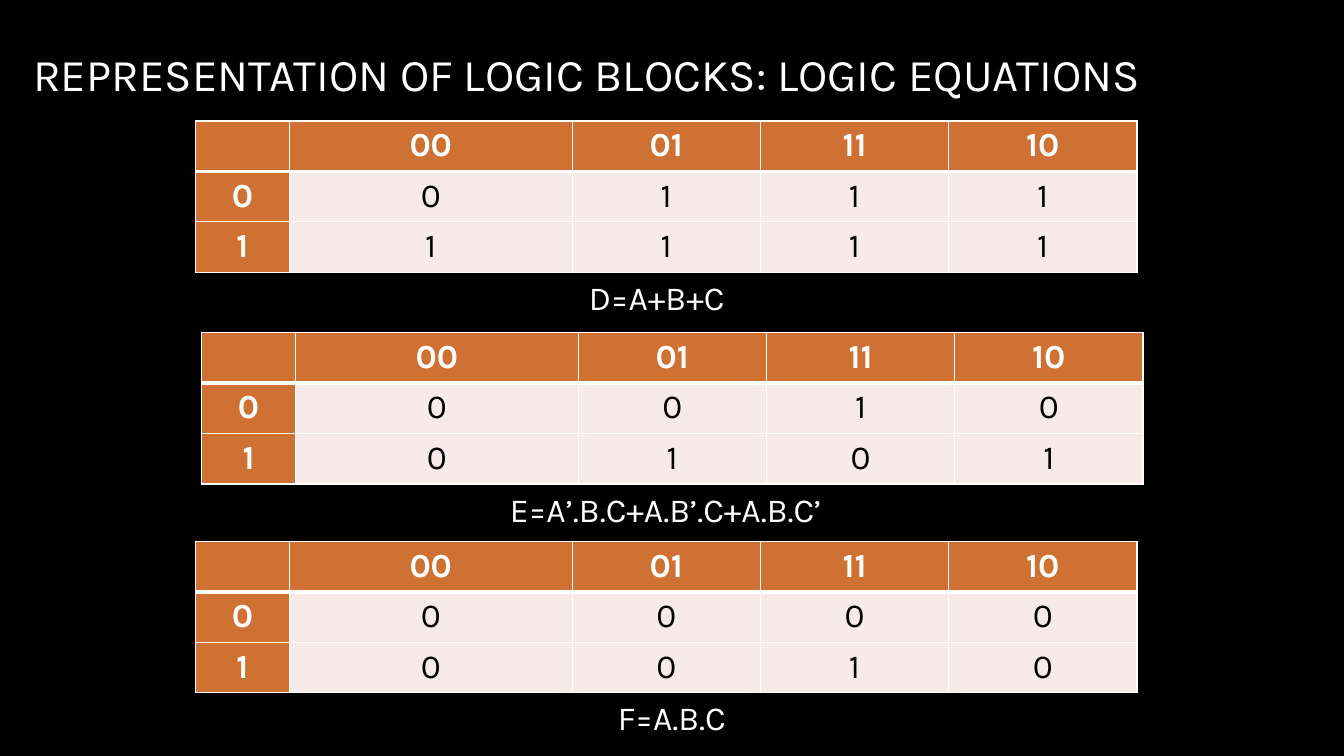
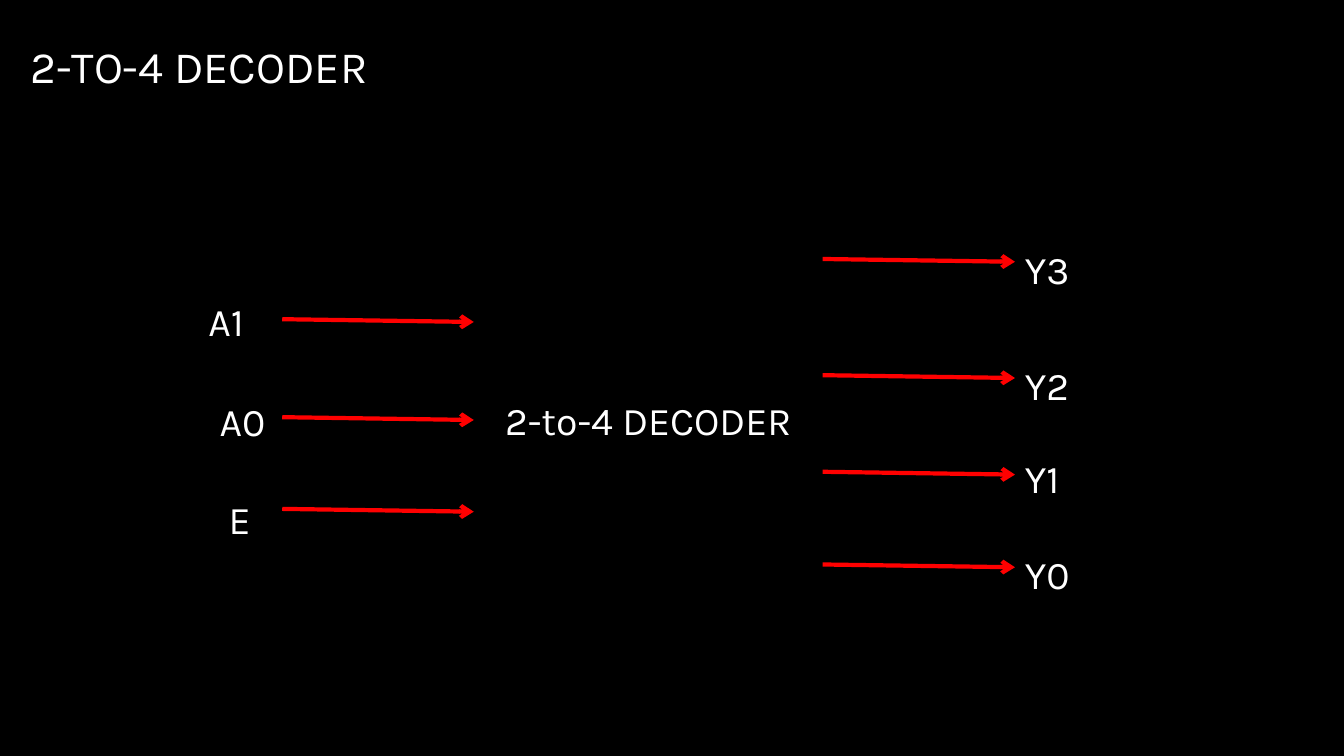
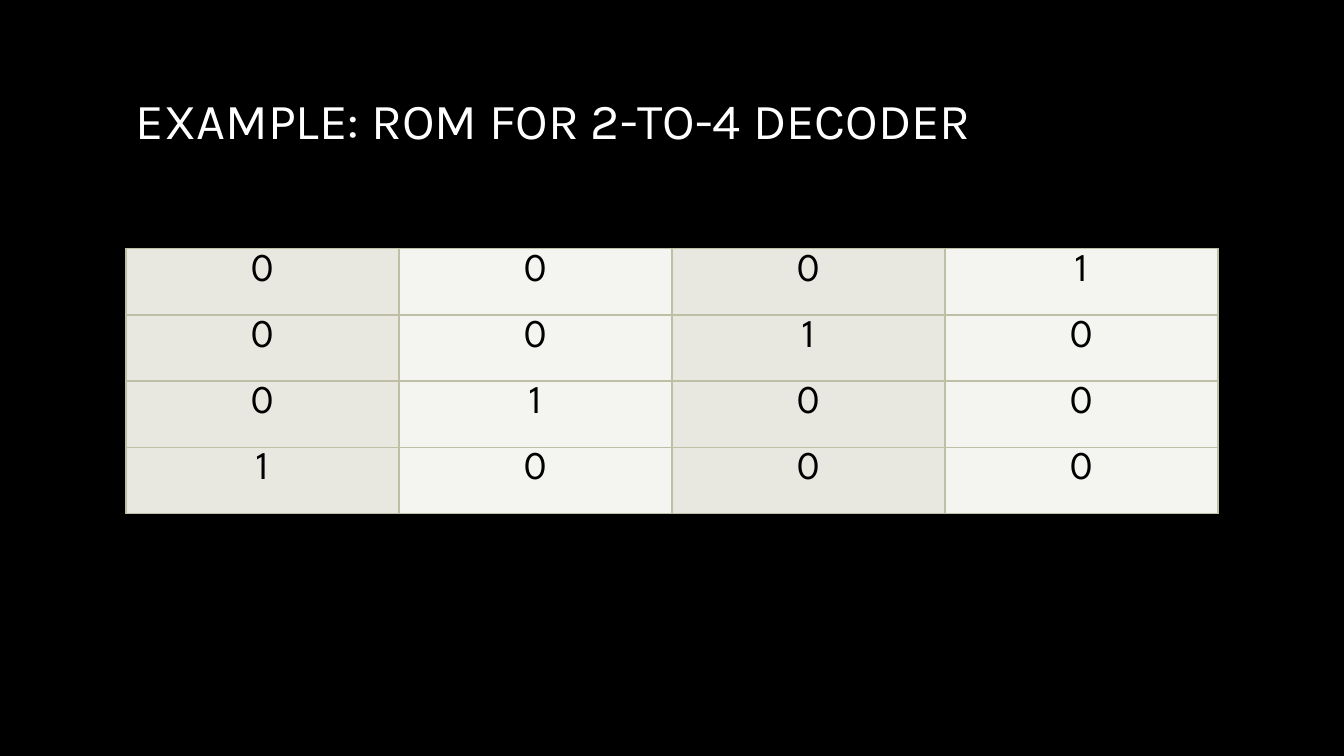
from lxml import etree
from pptx import Presentation
from pptx.dml.color import RGBColor
from pptx.enum.shapes import MSO_CONNECTOR, MSO_SHAPE
from pptx.enum.text import MSO_ANCHOR, PP_ALIGN
from pptx.oxml.ns import qn
from pptx.util import Pt

STRAIGHT = MSO_CONNECTOR.STRAIGHT
RECTANGLE = MSO_SHAPE.RECTANGLE
TOP, MIDDLE = MSO_ANCHOR.TOP, MSO_ANCHOR.MIDDLE
LEFT, CENTER = PP_ALIGN.LEFT, PP_ALIGN.CENTER

BLACK = RGBColor(0x00, 0x00, 0x00)
WHITE = RGBColor(0xFF, 0xFF, 0xFF)
RED = RGBColor(0xFF, 0x00, 0x00)
ORANGE = RGBColor(0xCF, 0x71, 0x33)
PINK = RGBColor(0xF6, 0xEB, 0xE8)
OLIVE_LINE = RGBColor(0xBF, 0xBF, 0xA5)
OLIVE_BANDS = (RGBColor(0xE8, 0xE8, 0xE1), RGBColor(0xF4, 0xF4, 0xF0))

BODY_FONT = "Karla"
ROM_FONT = "League Spartan"

SIDE_LEFT, SIDE_RIGHT = 1, 3
ARROW_DROP = 2

KARNAUGH_WIDTHS = (67, 202, 134.5, 134.5, 134.5)
KARNAUGH_HEADER = ("", "00", "01", "11", "10")
# left, top, row height, truth rows, equation, equation left, equation top
KARNAUGH_MAPS = (
    (139.7, 86.4, 35, ("0111", "1111"), "D=A+B+C", 180.7, 194.4),
    (144, 237.6, 36, ("0010", "0101"), "E=A’.B.C+A.B’.C+A.B.C’", 187.2, 345.6),
    (139.7, 386.8, 36, ("0000", "0010"), "F=A.B.C", 191.5, 494.6),
)

# label, label left, label top, arrow start
DECODER_INPUTS = (
    ("A1", 141.8, 208.8, 228),
    ("A0", 149.8, 280, 298),
    ("E", 156.2, 350, 363.5),
)
# label, label top, arrow start
DECODER_OUTPUTS = (
    ("Y3", 171.4, 185),
    ("Y2", 254.2, 268),
    ("Y1", 321, 337),
    ("Y0", 389.5, 403.2),
)
ROM_ROWS = ("0001", "0010", "0100", "1000")


def write_text(text_frame, text, *, size, font=BODY_FONT, color=WHITE,
               bold=False, align=LEFT):
    paragraph = text_frame.paragraphs[0]
    paragraph.alignment = align
    run = paragraph.add_run()
    run.text = text
    run.font.size = Pt(size)
    run.font.name = font
    run.font.bold = bold
    run.font.color.rgb = color


def add_text(slide, text, left, top, width, height, *, anchor=TOP, **text_format):
    box = slide.shapes.add_textbox(Pt(left), Pt(top), Pt(width), Pt(height))
    box.text_frame.word_wrap = True
    box.text_frame.vertical_anchor = anchor
    write_text(box.text_frame, text, **text_format)


def add_titled_slide(presentation, title, left, top, width, height, size):
    slide = presentation.slides.add_slide(presentation.slide_layouts[6])
    add_text(slide, title, left, top, width, height, size=size, anchor=MIDDLE)
    return slide


def set_borders(cell, color, top=1, bottom=1):
    """Draw 1 pt sides, with the given top and bottom widths; call before filling."""
    properties = cell._tc.get_or_add_tcPr()
    for side, width in (("L", 1), ("R", 1), ("T", top), ("B", bottom)):
        line = etree.SubElement(properties, qn(f"a:ln{side}"), w=str(Pt(width)))
        fill = etree.SubElement(line, qn("a:solidFill"))
        etree.SubElement(fill, qn("a:srgbClr"), val=str(color))


def add_plain_table(slide, left, top, widths, row_height, row_count):
    """Add a table without banding and return its grid."""
    table = slide.shapes.add_table(
        row_count, len(widths), Pt(left), Pt(top),
        Pt(sum(widths)), Pt(row_height * row_count)).table
    table.first_row = False
    table.horz_banding = False
    for column, width in zip(table.columns, widths):
        column.width = Pt(width)
    for row in table.rows:
        row.height = Pt(row_height)
    return table


def fill_cell(cell, text, fill, **text_format):
    cell.fill.solid()
    cell.fill.fore_color.rgb = fill
    write_text(cell.text_frame, text, align=CENTER, **text_format)


def add_karnaugh_map(slide, left, top, row_height, truth_rows):
    rows = [KARNAUGH_HEADER]
    rows += [(str(index), *values) for index, values in enumerate(truth_rows)]
    table = add_plain_table(slide, left, top, KARNAUGH_WIDTHS, row_height, len(rows))
    for row_index, row in enumerate(rows):
        for column_index, text in enumerate(row):
            cell = table.cell(row_index, column_index)
            is_heading = row_index == 0 or column_index == 0
            set_borders(cell, WHITE, top=3 if row_index == 1 else 1,
                        bottom=3 if row_index == 0 else 1)
            fill_cell(cell, text, ORANGE if is_heading else PINK, size=24,
                      color=WHITE if is_heading else BLACK, bold=is_heading)


def add_rom_table(slide):
    table = add_plain_table(slide, 90, 177.8, [195] * 4, 47.2, len(ROM_ROWS))
    for row_index, row in enumerate(ROM_ROWS):
        for column_index, text in enumerate(row):
            cell = table.cell(row_index, column_index)
            set_borders(cell, OLIVE_LINE)
            fill_cell(cell, text, OLIVE_BANDS[column_index % 2], size=28,
                      font=ROM_FONT, color=BLACK)


def add_arrow(slide, start_x, start_y, end_x):
    arrow = slide.shapes.add_connector(
        STRAIGHT, Pt(start_x), Pt(start_y), Pt(end_x), Pt(start_y + ARROW_DROP))
    arrow.line.color.rgb = RED
    arrow.line.width = Pt(3)
    etree.SubElement(arrow.line._get_or_add_ln(), qn("a:tailEnd"), type="arrow")
    etree.SubElement(arrow._element.spPr, qn("a:effectLst"))
    return arrow


def add_decoder(slide):
    left, top, width, height = 338.4, 125, 249.2, 350
    right, middle = left + width, top + height / 2
    block = slide.shapes.add_shape(RECTANGLE, Pt(left), Pt(top), Pt(width), Pt(height))
    block.shadow.inherit = False
    block.fill.solid()
    block.fill.fore_color.rgb = BLACK
    block.line.color.rgb = BLACK
    block.line.width = Pt(1.5)
    block.text_frame.word_wrap = True
    block.text_frame.vertical_anchor = MIDDLE
    write_text(block.text_frame, "2-to-4 DECODER", size=28, align=CENTER)

    for label, label_left, label_top, start_y in DECODER_INPUTS:
        arrow = add_arrow(slide, 201.6, start_y, left)
        if start_y + ARROW_DROP == middle:
            arrow.end_connect(block, SIDE_LEFT)
        add_text(slide, label, label_left, label_top, 74, 41, size=28)
    for label, label_top, start_y in DECODER_OUTPUTS:
        arrow = add_arrow(slide, right, start_y, 725)
        if start_y == middle:
            arrow.begin_connect(block, SIDE_RIGHT)
        add_text(slide, label, 725, label_top, 94, 41, size=28)


def main():
    presentation = Presentation()
    presentation.slide_width = Pt(960)
    presentation.slide_height = Pt(540)
    background = presentation.slide_master.background.fill
    background.solid()
    background.fore_color.rgb = BLACK

    slide = add_titled_slide(
        presentation, "REPRESENTATION OF LOGIC BLOCKS: LOGIC EQUATIONS",
        16.6, 18, 917.3, 68.4, 32.4)
    for left, top, row_height, rows, equation, text_left, text_top in KARNAUGH_MAPS:
        add_karnaugh_map(slide, left, top, row_height, rows)
        add_text(slide, equation, text_left, text_top, 576.7, 36, size=24, align=CENTER)

    slide = add_titled_slide(presentation, "2-TO-4 DECODER", 14.4, 7.2, 780, 80, 32)
    add_decoder(slide)

    slide = add_titled_slide(
        presentation, "EXAMPLE: ROM FOR 2-TO-4 DECODER", 90, 48.2, 780, 73.4, 36)
    add_rom_table(slide)

    presentation.save("out.pptx")


if __name__ == "__main__":
    main()
